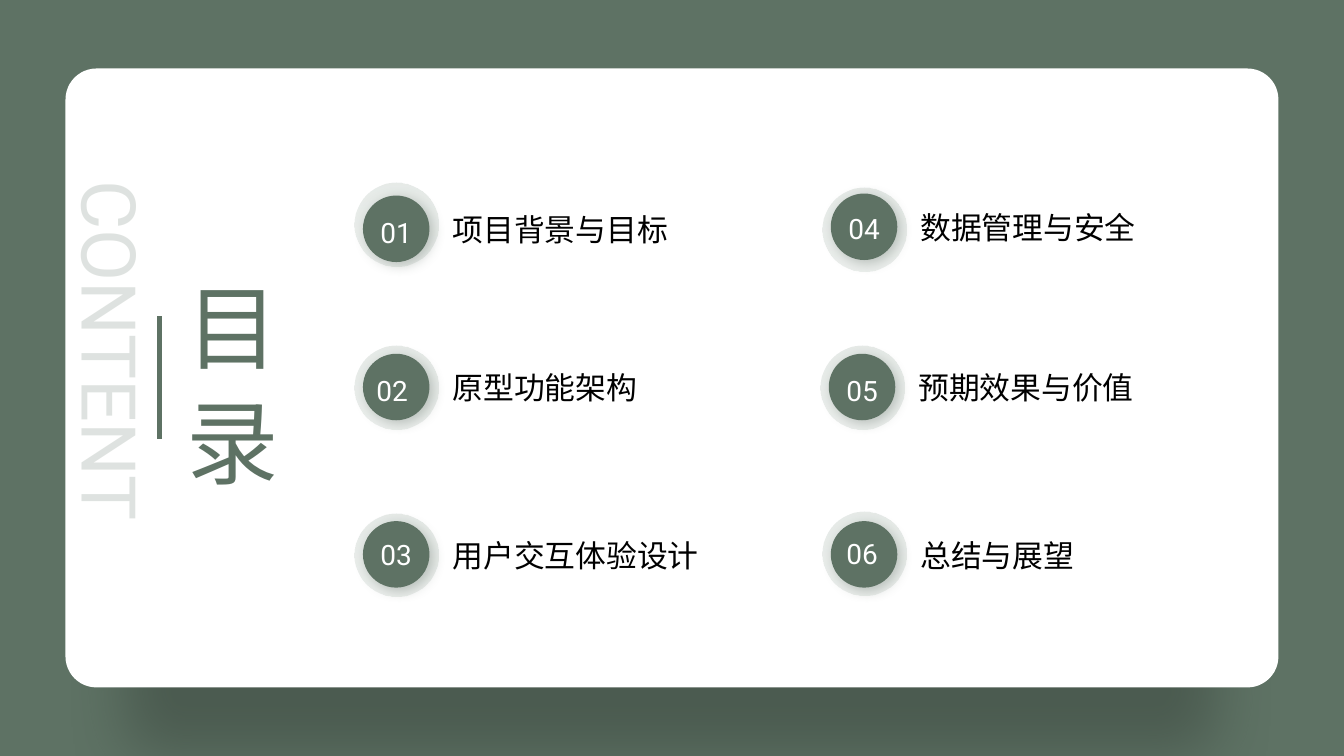
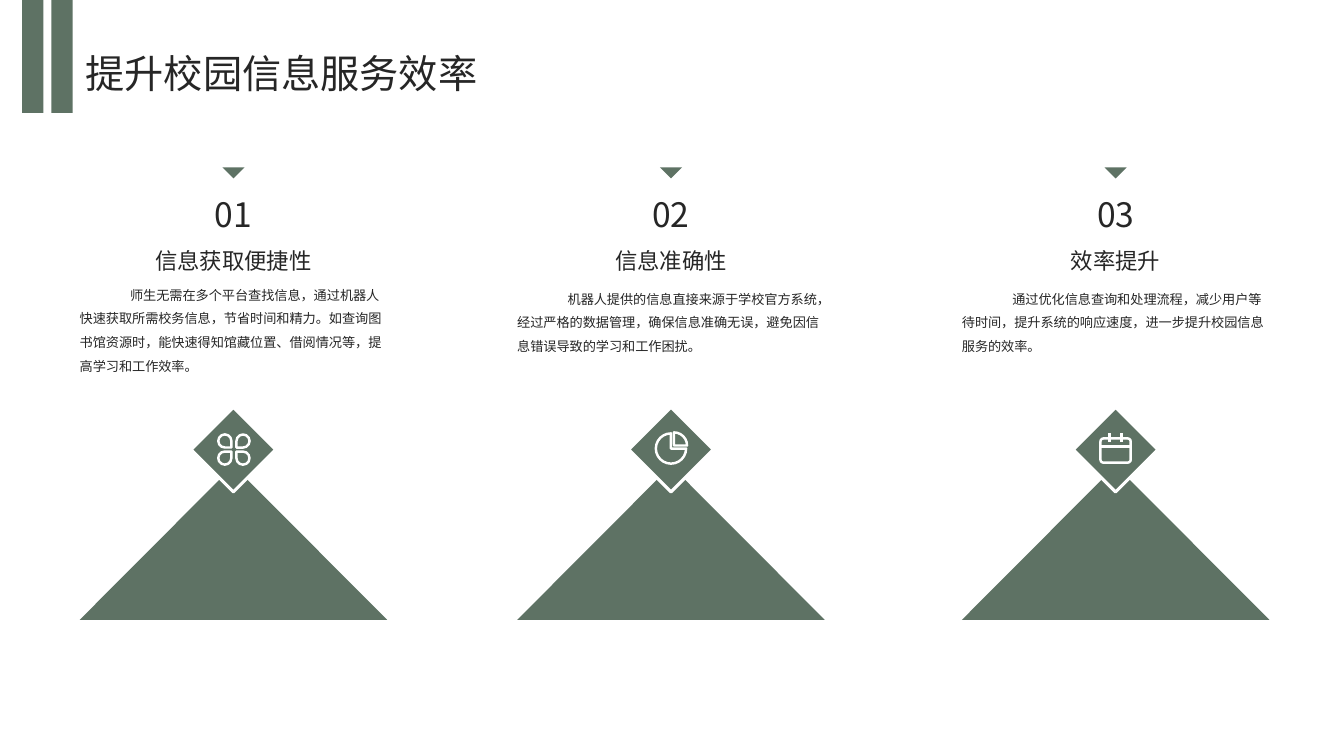
from lxml import etree
from pptx import Presentation
from pptx import util as u
from pptx.dml.color import RGBColor
from pptx.enum import shapes, text
from pptx.oxml.ns import qn

PX = 9144  # EMU in one px, 100 px to the inch
HUES = {"green": "5E7264", "white": "FFFFFF", "ink": "262626", "black": "000000",
        "ring": "DEE4E0", "card": "2F3932", "disc": "46564B"}
LATIN, CJK = "Roboto", "Noto Sans CJK SC"
FORM, ALIGN, ANCHOR = shapes.MSO_SHAPE, text.PP_ALIGN, text.MSO_ANCHOR

# number, label, left and top of disc, rise of ring, shift of number
TOPICS = [
    ("01", "项目背景与目标", 360, 194, 13, 0, 12),
    ("02", "原型功能架构", 360, 351, 8, -4, 11),
    ("03", "用户交互体验设计", 360, 517, 8, 0, 8),
    ("04", "数据管理与安全", 824, 192, 6, 0, 10),
    ("05", "预期效果与价值", 822, 351, 8, 0, 11),
    ("06", "总结与展望", 824, 517, 9, -2, 7),
]


def emu(*sizes):
    return [u.Emu(round(size * PX)) for size in sizes]


def hue(name):
    return RGBColor.from_string(HUES[name])


def fade(root, *shares):
    """Set the opacity, in percent, of each colour under root."""
    for clr, share in zip(list(root.iter(qn("a:srgbClr"))), shares):
        etree.SubElement(clr, qn("a:alpha"), val=str(share * 1000))


def shape(slide, form, x, y, w, h, fill=None, line=None, width=1.75):
    item = slide.shapes.add_shape(form, *emu(x, y, w, h))
    if fill:
        item.fill.solid()
        item.fill.fore_color.rgb = hue(fill)
    else:
        item.fill.background()
    if line:
        item.line.color.rgb = hue(line)
        item.line.width = u.Pt(width)
    else:
        item.line.fill.background()
    item.shadow.inherit = False
    return item


def shade(item, name, share, blur, dist, angle, scale=100):
    """Cast an outer shadow; blur and dist are in points."""
    root = item.element.spPr.find(qn("a:effectLst"))
    cast = etree.SubElement(
        root, qn("a:outerShdw"), blurRad=str(u.Pt(blur)), dist=str(u.Pt(dist)),
        dir=str(angle * 60000), sx=str(scale * 1000), sy=str(scale * 1000),
        algn="ctr", rotWithShape="0")
    etree.SubElement(cast, qn("a:srgbClr"), val=HUES[name])
    fade(cast, share)


def line(slide, x1, y1, x2, y2, color, width):
    item = slide.shapes.add_connector(shapes.MSO_CONNECTOR.STRAIGHT, *emu(x1, y1, x2, y2))
    item.line.color.rgb = hue(color)
    item.line.width = u.Pt(width)
    etree.SubElement(item.element.spPr, qn("a:effectLst"))


def write(slide, words, x, y, w, h, size=20, color="ink", font=CJK, align=ALIGN.LEFT,
          anchor=ANCHOR.TOP, space=None, inset=True, indent=0, share=None, upright=False):
    box = slide.shapes.add_textbox(*emu(x, y, w, h))
    frame = box.text_frame
    frame.word_wrap = True
    frame.vertical_anchor = anchor
    if not inset:
        frame.margin_left = frame.margin_right = frame.margin_top = frame.margin_bottom = 0
    if upright:
        box.element.txBody.bodyPr.set("vert", "eaVert")
    para = frame.paragraphs[0]
    para.alignment = align
    if space:
        para.line_spacing = space
    if indent:
        props = para._p.get_or_add_pPr()
        props.set("marL", "0")
        props.set("indent", str(indent * PX))
    run = para.add_run()
    run.text = words
    run.font.size = u.Pt(size)
    run.font.name = font
    run.font.color.rgb = hue(color)
    props = run.font._element
    props.find(qn("a:latin")).addnext(etree.Element(qn("a:ea"), typeface=CJK))
    if share:
        fade(props, share)


def topic(slide, x, y, num, label, rise, dx, dy):
    write(slide, label, x + 79, y - 23, 357, 109, size=22, color="black", font=LATIN,
          anchor=ANCHOR.MIDDLE, space=1.1)
    ring = shape(slide, FORM.OVAL, x - 8, y - rise, 83, 83, fill="ring")
    ring.fill.gradient()
    ring.fill.gradient_angle = 270
    for stop, place in zip(ring.fill.gradient_stops, (0, 1)):
        stop.color.rgb = hue("ring")
        stop.position = place
    fade(ring.element.spPr, 73, 57)
    disc = shape(slide, FORM.OVAL, x, y, 66, 66, fill="green")
    shade(disc, "disc", 30, 9, 3, 45)
    write(slide, num, x + dx, y + dy, 66, 44, color="white", font=LATIN,
          align=ALIGN.CENTER, space=1.1)


def agenda(slide):
    slide.background.fill.solid()
    slide.background.fill.fore_color.rgb = hue("green")
    card = shape(slide, FORM.ROUNDED_RECTANGLE, 65, 68, 1203, 614, fill="white")
    card.adjustments[0] = 0.05
    shade(card, "card", 40, 43, 69, 90, scale=90)
    write(slide, "CONTENT", 50, 169, 111, 412, size=54, color="green", font=LATIN,
          share=20, upright=True)
    write(slide, "目 录", 156, 269, 131, 239, size=66, color="green", font=LATIN,
          upright=True)
    line(slide, 158, 314, 158, 436, "green", 3.75)
    for num, label, x, y, rise, dx, dy in TOPICS:
        topic(slide, x, y, num, label, rise, dx, dy)


def clover(slide, x, y):
    for left, top, turn in ((0, 0, 90), (18, 0, 180), (0, 17, 0), (18, 17, 270)):
        leaf = shape(slide, FORM.TEAR, x + left + 1, y + top + 2, 13, 13, line="white")
        leaf.rotation = turn


def pie(slide, x, y):
    shape(slide, FORM.PIE, x + 1, y + 1, 30, 30, line="white")
    slice_ = shape(slide, FORM.PIE, x + 6, y, 26, 26, line="white")
    slice_.adjustments[0] = 162
    slice_.adjustments[1] = 0


def diary(slide, x, y):
    page = shape(slide, FORM.ROUNDED_RECTANGLE, x + 1, y + 6, 30, 24, line="white")
    page.adjustments[0] = 0.12
    line(slide, x + 1, y + 14, x + 31, y + 14, "white", 1.75)
    for tick in (10, 22):
        line(slide, x + tick, y + 1, x + tick, y + 10, "white", 1.75)


POINTS = [
    (79, 277, "01", "信息获取便捷性", clover,
     "师生无需在多个平台查找信息，通过机器人快速获取所需校务信息，节省时间和精力。"
     "如查询图书馆资源时，能快速得知馆藏位置、借阅情况等，提高学习和工作效率。"),
    (513, 281, "02", "信息准确性", pie,
     "机器人提供的信息直接来源于学校官方系统，经过严格的数据管理，"
     "确保信息准确无误，避免因信息错误导致的学习和工作困扰。"),
    (954, 281, "03", "效率提升", diary,
     "通过优化信息查询和处理流程，减少用户等待时间，提升系统的响应速度，"
     "进一步提升校园信息服务的效率。"),
]


def point(slide, x, top, num, head, icon, body):
    wide = 305
    mid = x + wide / 2
    shape(slide, FORM.FLOWCHART_MERGE, mid - 11, 166, 22, 11, fill="green")
    write(slide, num, x, 192, wide, 33, size=24, align=ALIGN.CENTER, inset=False)
    write(slide, head, x, 241, wide, 31, size=16, align=ALIGN.CENTER,
          anchor=ANCHOR.BOTTOM, space=1.3, inset=False)
    write(slide, body, x, top, wide, 123, size=9.4, space=1.5, inset=False, indent=50)
    shape(slide, FORM.ISOSCELES_TRIANGLE, x, 462, wide, 153, fill="green")
    shape(slide, FORM.DIAMOND, mid - 42, 404, 84, 84, fill="green", line="white", width=2.25)
    icon(slide, mid - 16, 429)


def title(slide, words):
    for x in (22, 51):
        shape(slide, FORM.RECTANGLE, x, 0, 21, 112, fill="green")
    write(slide, words, 85, 44, 1167, 51, size=28, anchor=ANCHOR.MIDDLE, space=1.1,
          inset=False)


def gains(slide):
    title(slide, "提升校园信息服务效率")
    for x, top, num, head, icon, body in POINTS:
        point(slide, x, top, num, head, icon, body)


def main():
    deck = Presentation()
    deck.slide_width, deck.slide_height = emu(1333, 750)
    for build in (agenda, gains):
        build(deck.slides.add_slide(deck.slide_layouts[6]))
    deck.save("out.pptx")


if __name__ == "__main__":
    main()
